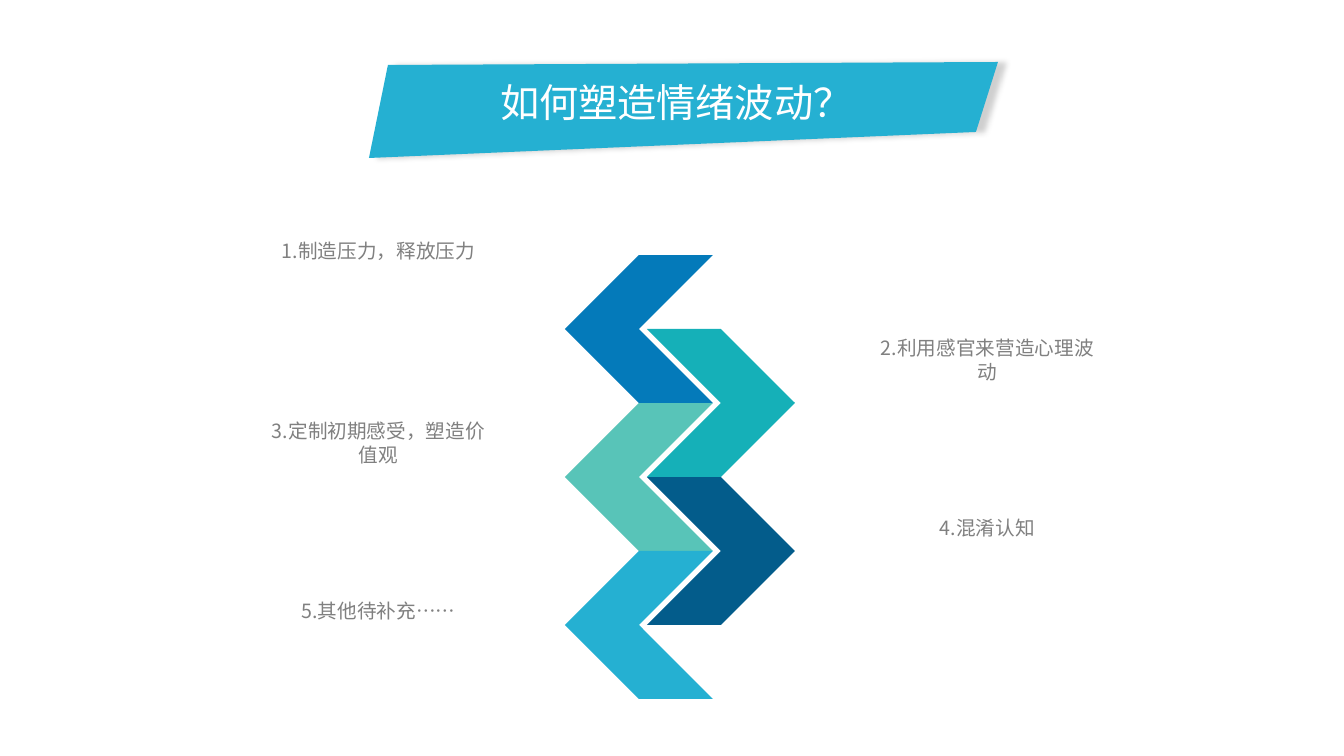
import lxml.etree
import pptx
import pptx.dml.color
import pptx.enum.shapes
import pptx.enum.text
import pptx.oxml.ns
import pptx.util

WHITE = pptx.dml.color.RGBColor(0xFF, 0xFF, 0xFF)
GRAY = pptx.dml.color.RGBColor(0x80, 0x80, 0x80)
SKY = pptx.dml.color.RGBColor(0x25, 0xB0, 0xD2)
BLUE = pptx.dml.color.RGBColor(0x04, 0x7A, 0xBA)
TEAL = pptx.dml.color.RGBColor(0x15, 0xB0, 0xB8)
MINT = pptx.dml.color.RGBColor(0x58, 0xC4, 0xB8)
NAVY = pptx.dml.color.RGBColor(0x03, 0x5C, 0x8B)

EMU_PER_PX = 914400 / 100.8
TITLE_ONLY = 5

STEPS = [
    ("1.制造压力，释放压力", BLUE),
    ("2.利用感官来营造心理波动", TEAL),
    ("3.定制初期感受，塑造价值观", MINT),
    ("4.混淆认知", NAVY),
    ("5.其他待补充……", SKY),
]
CHEVRON_SIZE = 148
CHEVRON_TOP = 255
LABEL_PITCH = 180


def px(value):
    return pptx.util.Emu(round(value * EMU_PER_PX))


def write_text(frame, text, font, size, color, align, wrap=True):
    frame.word_wrap = wrap
    frame.vertical_anchor = pptx.enum.text.MSO_ANCHOR.TOP
    paragraph = frame.paragraphs[0]
    paragraph.alignment = align
    run = paragraph.add_run()
    run.text = text
    run.font.name = font
    run.font.size = pptx.util.Pt(size)
    run.font.color.rgb = color
    east_asian = lxml.etree.SubElement(run.font._element, pptx.oxml.ns.qn("a:ea"))
    east_asian.set("typeface", font)


class SlideBuilder:
    font = "Noto Sans CJK SC"

    def __init__(self, slide):
        self.slide = slide

    def fill(self, shape, color):
        shape.shadow.inherit = False
        shape.fill.solid()
        shape.fill.fore_color.rgb = color
        shape.line.fill.background()

    def title(self, text, left, top, width, height):
        title = self.slide.shapes.title
        title.left, title.top, title.width, title.height = map(px, (left, top, width, height))
        write_text(title.text_frame, text, font=self.font, size=28, color=WHITE,
                   align=pptx.enum.text.PP_ALIGN.LEFT, wrap=False)
        title.text_frame.auto_size = pptx.enum.text.MSO_AUTO_SIZE.SHAPE_TO_FIT_TEXT

    def banner(self, points, color):
        builder = self.slide.shapes.build_freeform(*points[0], scale=EMU_PER_PX)
        builder.add_line_segments(points[1:], close=True)
        banner = builder.convert_to_shape()
        self.fill(banner, color)
        self.shadow(banner)
        self.slide.shapes.title.element.addprevious(banner.element)

    def shadow(self, shape):
        qn = pptx.oxml.ns.qn
        effects = shape.element.spPr.find(qn("a:effectLst"))
        shadow = lxml.etree.SubElement(
            effects, qn("a:outerShdw"), blurRad=str(pptx.util.Pt(4)),
            dist=str(pptx.util.Pt(6)), dir="0", algn="l", rotWithShape="0")
        color = lxml.etree.SubElement(shadow, qn("a:srgbClr"), val="000000")
        lxml.etree.SubElement(color, qn("a:alpha"), val="19000")

    def chevron(self, left, top, size, color, flipped):
        shape = self.slide.shapes.add_shape(
            pptx.enum.shapes.MSO_SHAPE.CHEVRON, px(left), px(top), px(size), px(size))
        self.fill(shape, color)
        if flipped:
            shape.element.spPr.find(pptx.oxml.ns.qn("a:xfrm")).set("flipH", "1")

    def label(self, text, left, top, width, height):
        box = self.slide.shapes.add_textbox(px(left), px(top), px(width), px(height))
        box.text_frame.margin_top = box.text_frame.margin_bottom = 0
        write_text(box.text_frame, text, font=self.font, size=14, color=GRAY,
                   align=pptx.enum.text.PP_ALIGN.CENTER)


def main():
    presentation = pptx.Presentation()
    presentation.slide_width = px(1344)
    presentation.slide_height = px(756)
    slide = presentation.slides.add_slide(presentation.slide_layouts[TITLE_ONLY])
    builder = SlideBuilder(slide)

    builder.title("如何塑造情绪波动？", 490, 73, 377, 57)
    builder.banner([(388, 65), (369, 158), (976, 132), (998, 62)], SKY)

    for index, (text, color) in enumerate(STEPS):
        row, on_right = divmod(index, 2)
        chevron_left, label_left, label_top = (647, 864, 336) if on_right else (565, 255, 239)
        builder.chevron(chevron_left, CHEVRON_TOP + index * CHEVRON_SIZE // 2,
                        CHEVRON_SIZE, color, flipped=not on_right)
        builder.label(text, label_left, label_top + row * LABEL_PITCH, 247, 61)

    presentation.save("out.pptx")


if __name__ == "__main__":
    main()
